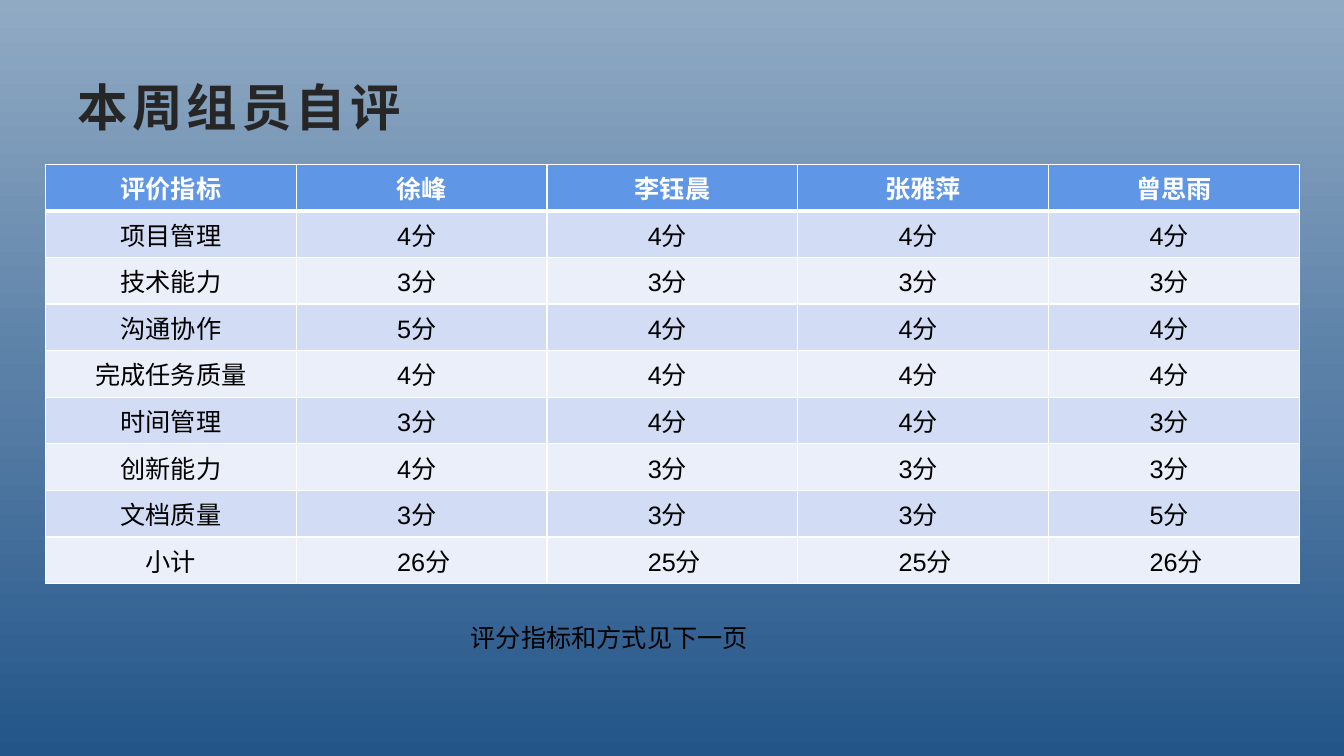
"""Build the weekly self-review slide."""
from dataclasses import dataclass

from lxml.etree import SubElement as Sub
from pptx import Presentation
from pptx.dml.color import RGBColor as Rgb
from pptx.enum.text import MSO_ANCHOR as Anchor, PP_ALIGN as Align
from pptx.oxml.ns import qn
from pptx.util import Inches, Pt


@dataclass(frozen=True)
class Theme:
    """Hold the colours, fonts and type sizes."""
    latin: str = "Arial"
    asian: str = "Noto Sans CJK SC"
    sky: tuple = ((0, "91AAC4"), (50, "5A80A7"), (100, "235589"))
    head: str = "6096E6"
    bands: tuple = ("D2DDF5", "EAEFFA")
    white: str = "FFFFFF"
    black: str = "000000"
    dark: str = "262626"
    big: int = 36
    body: int = 18
    thin: int = 1
    thick: int = 3


THEME = Theme()
NAMES = ["评价指标", "徐峰", "李钰晨", "张雅萍", "曾思雨"]
SCORES = {
    "项目管理": (4, 4, 4, 4),
    "技术能力": (3, 3, 3, 3),
    "沟通协作": (5, 4, 4, 4),
    "完成任务质量": (4, 4, 4, 4),
    "时间管理": (3, 4, 4, 3),
    "创新能力": (4, 3, 3, 3),
    "文档质量": (3, 3, 3, 5),
    "小计": (26, 25, 25, 26),
}


def apply(item, values):
    """Set each attribute named in a dict."""
    for name, value in values.items():
        setattr(item, name, value)


def write(frame, text, size, color, bold=False, align=Align.LEFT, gap=0):
    """Put one styled line in a text frame."""
    para = frame.paragraphs[0]
    para.alignment = align
    run = para.add_run()
    run.text = text
    apply(run.font, {"name": THEME.latin, "size": Pt(size), "bold": bold})
    run.font.color.rgb = Rgb.from_string(color)
    props = run.font._element if hasattr(run.font, "_element") else run._r.get_or_add_rPr()
    Sub(props, qn("a:ea"), typeface=THEME.asian)
    if gap:
        props.set("spc", str(gap * 100))


def paint(slide):
    """Fill the background from top to bottom."""
    fill = slide.background.fill
    fill.gradient()
    fill.gradient_angle = 270
    stops = slide.element.find(".//" + qn("a:gsLst"))
    for stop in list(stops):
        stops.remove(stop)
    for place, color in THEME.sky:
        stop = Sub(stops, qn("a:gs"), pos=str(place * 1000))
        Sub(stop, qn("a:srgbClr"), val=color)


def edge(cell, widths):
    """Draw white borders on the sides of a cell."""
    props = cell._tc.get_or_add_tcPr()
    for side, width in widths.items():
        line = Sub(props, qn("a:ln" + side), w=str(Pt(width)))
        fill = Sub(line, qn("a:solidFill"))
        Sub(fill, qn("a:srgbClr"), val=THEME.white)


def style(cell, row, col):
    """Give a cell its borders, fill and margin."""
    thin, thick = THEME.thin, THEME.thick
    edge(cell, {"L": thin, "R": thin,
                "T": thick if row == 1 else thin,
                "B": thick if row == 0 else thin})
    color = THEME.bands[(row - 1) % 2] if row else THEME.head
    cell.fill.solid()
    cell.fill.fore_color.rgb = Rgb.from_string(color)
    if row and col:
        cell.margin_left = Inches(1)


def grid(slide):
    """Add the table of scores."""
    rows = [NAMES]
    rows += [[name, *(f"{mark}分" for mark in marks)]
             for name, marks in SCORES.items()]
    table = slide.shapes.add_table(
        len(rows), len(NAMES), Inches(0.45), Inches(1.63),
        Inches(12.44), Inches(4.02)).table
    for row, texts in enumerate(rows):
        for col, text in enumerate(texts):
            cell = table.cell(row, col)
            style(cell, row, col)
            color = THEME.black if row else THEME.white
            align = Align.LEFT if row and col else Align.CENTER
            write(cell.text_frame, text, THEME.body, color, row == 0, align)


def title(slide, text):
    """Move and fill the title."""
    shape = slide.shapes.title
    apply(shape, {"left": Inches(0.67), "top": Inches(0.67),
                  "width": Inches(12), "height": Inches(0.77)})
    shape.text_frame.vertical_anchor = Anchor.MIDDLE
    write(shape.text_frame, text, THEME.big, THEME.dark, True, gap=3)


def note(slide, text):
    """Add the line below the table."""
    box = slide.shapes.add_textbox(
        Inches(4.57), Inches(6.12), Inches(3.92), Inches(0.4))
    box.text_frame.word_wrap = True
    write(box.text_frame, text, THEME.body, THEME.black)


def main():
    """Build and save the slide."""
    deck = Presentation()
    apply(deck, {"slide_width": Inches(13.33), "slide_height": Inches(7.5)})
    slide = deck.slides.add_slide(deck.slide_layouts[5])
    paint(slide)
    title(slide, "本周组员自评")
    grid(slide)
    note(slide, "评分指标和方式见下一页")
    deck.save("out.pptx")


if __name__ == "__main__":
    main()
